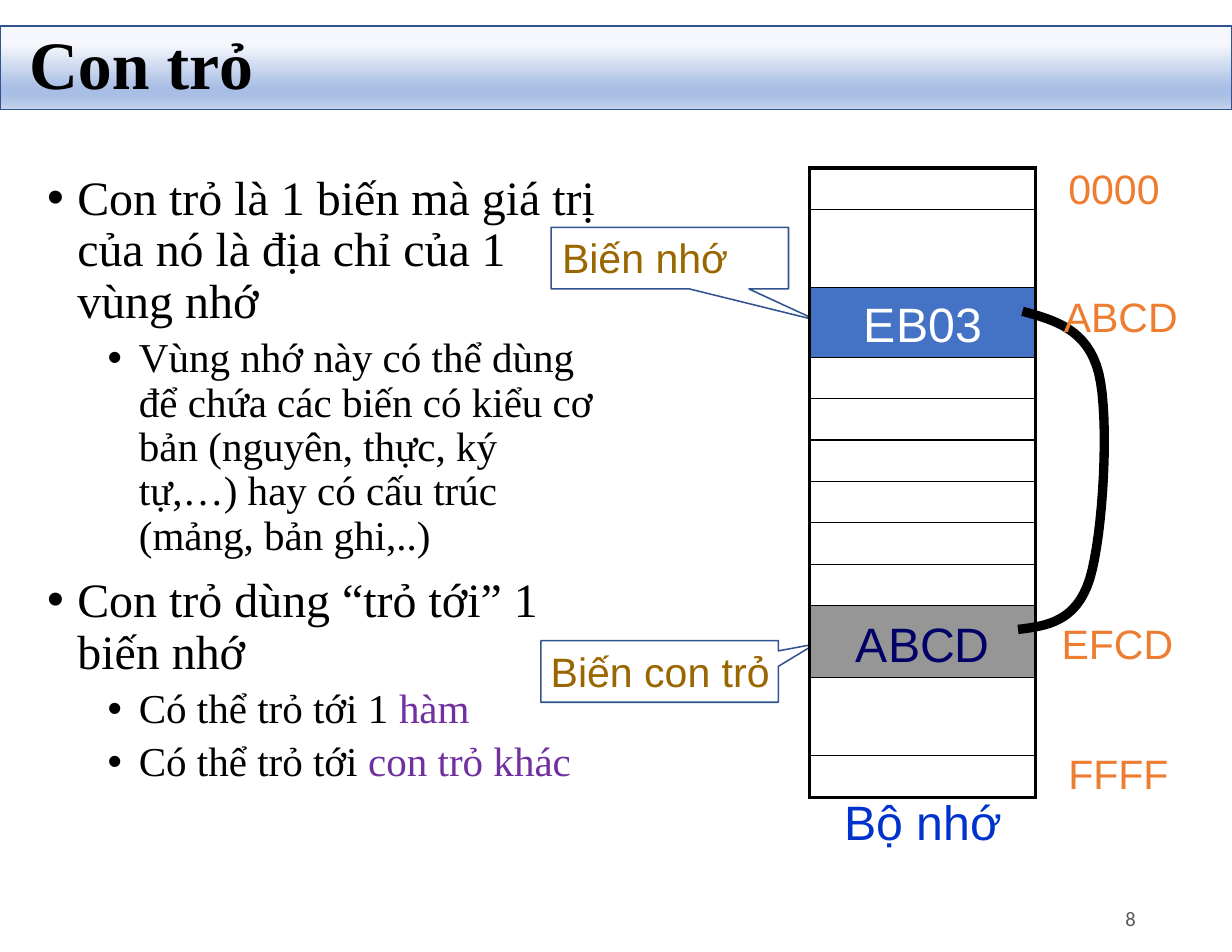
"""Build a slide on pointers with a memory diagram."""
from lxml.etree import SubElement as Sub
from pptx import Presentation
from pptx.dml.color import RGBColor as Rgb
from pptx.enum.shapes import MSO_SHAPE as Shape
from pptx.enum.text import MSO_ANCHOR as Anchor, MSO_AUTO_SIZE as Fit, PP_ALIGN as Align
from pptx.oxml.ns import qn
from pptx.util import Inches, Pt

HUE = {
    "black": "000000", "white": "FFFFFF", "edge": "31538F", "blue": "4472C4",
    "gray": "969696", "navy": "000066", "royal": "0033CC", "orange": "ED7D31",
    "brown": "996600", "purple": "7030A0", "dim": "595959",
    "pale": "F5F7FC", "mid": "A9BEE4", "soft": "C5D3ED",
}
SERIF, SANS = "Times New Roman", "Arial"
STOPS = [(0, "pale"), (22, "pale"), (74, "mid"), (83, "mid"), (100, "soft")]
BODY = [
    (0, 0, ["Con trỏ là 1 biến mà giá trị của nó là địa chỉ của 1 vùng nhớ"]),
    (1, 5.5, ["Vùng nhớ này có thể dùng để chứa các biến có kiểu cơ bản "
              "(nguyên, thực, ký tự,…) hay có cấu trúc (mảng, bản ghi,..)"]),
    (0, 11, ["Con trỏ dùng “trỏ tới” 1 biến nhớ"]),
    (1, 5.5, ["Có thể trỏ tới 1 ", "hàm"]),
    (1, 5.5, ["Có thể trỏ tới ", "con trỏ khác"]),
]
LEVELS = [(30.8, 0.27, -0.27), (26.4, 0.82, -0.28)]
ROWS = [0.37, 0.7, 0.62] + [0.37] * 6 + [0.64, 0.7, 0.37, 0.51]
CELLS = {
    2: ("EB03", "white", "blue", 1.2),
    9: ("ABCD", "navy", "gray", 1.25),
    12: ("Bộ nhớ", "royal", None, 1),
}
CALLS = [
    (4.92, 2.03, (0.62, 1.011)),
    (4.83, 5.72, (0.655, -0.445)),
]
LABELS = [
    ("ABCD", 9.4, 2.55, 1.47, "orange", Align.LEFT),
    ("Biến nhớ", 4.89, 2.03, 1.74, "brown", Align.CENTER),
    ("Biến con trỏ", 4.75, 5.72, 2.29, "brown", Align.CENTER),
    ("EFCD", 9.38, 5.47, 1.47, "orange", Align.LEFT),
    ("FFFF", 9.44, 6.63, 1.28, "orange", Align.LEFT),
    ("0000", 9.44, 1.41, 1.28, "orange", Align.LEFT),
]
CURVE = [
    [(9.09, 5.62), (9.35, 5.59), (9.61, 5.55), (9.73, 5.17)],
    [(9.73, 5.17), (9.85, 4.78), (9.91, 3.73), (9.81, 3.33)],
    [(9.81, 3.33), (9.71, 2.94), (9.42, 2.86), (9.13, 2.78)],
]


def color(name):
    return Rgb.from_string(HUE[name])


def style(font, size, face, hue, bold=False):
    font.size, font.name, font.bold = Pt(size), face, bold
    font.color.rgb = color(hue)


def place(shape, x, y, w, h):
    shape.left, shape.top, shape.width, shape.height = map(Inches, (x, y, w, h))


def add_box(slide, kind, x, y, w, h):
    box = slide.shapes.add_shape(kind, *map(Inches, (x, y, w, h)))
    box.shadow.inherit = False
    box.fill.solid()
    box.fill.fore_color.rgb = color("white")
    box.line.color.rgb = color("edge")
    box.line.width = Pt(1)
    return box


def add_call(slide, x, y, tip):
    call = add_box(slide, Shape.RECTANGULAR_CALLOUT, x, y, 2.12, 0.55)
    call.adjustments[0], call.adjustments[1] = tip
    return call


def add_bar(slide):
    bar = add_box(slide, Shape.RECTANGLE, 0, 0.23, 11, 0.75)
    bar.fill.gradient()
    bar.fill.gradient_angle = 270
    stops = next(bar._element.iter(qn("a:gsLst")))
    for stop in list(stops):
        stops.remove(stop)
    for pos, name in STOPS:
        stop = Sub(stops, qn("a:gs"), pos=str(pos * 1000))
        Sub(stop, qn("a:srgbClr"), val=HUE[name])
    return bar


def add_title(slide):
    title = slide.shapes.title
    place(title, 0.16, 0.3, 11, 0.6)
    frame = title.text_frame
    frame.text = "Con trỏ"
    frame.auto_size, frame.vertical_anchor = Fit.NONE, Anchor.MIDDLE
    para = frame.paragraphs[0]
    para.alignment, para.line_spacing = Align.LEFT, 0.9
    style(para.font, 43.6, SERIF, "black", True)


def add_body(slide):
    body = slide.placeholders[1]
    place(body, 0.32, 1.5, 5.16, 6.33)
    frame = body.text_frame
    frame.auto_size, frame.vertical_anchor = Fit.NONE, Anchor.TOP
    for i, (level, gap, parts) in enumerate(BODY):
        para = frame.add_paragraph() if i else frame.paragraphs[0]
        size, left, hang = LEVELS[level]
        para.level, para.line_spacing, para.space_before = level, 0.9, Pt(gap)
        props = para._p.get_or_add_pPr()
        props.set("marL", str(Inches(left)))
        props.set("indent", str(Inches(hang)))
        Sub(props, qn("a:buFont"), typeface=SANS)
        Sub(props, qn("a:buChar"), char="•")
        style(para.font, size, SERIF, "black")
        for j, text in enumerate(parts):
            run = para.add_run()
            run.text = text
            if j:
                run.font.color.rgb = color("purple")


def set_edge(cell, side, width):
    props = cell._tc.get_or_add_tcPr()
    line = Sub(props, qn("a:ln" + side), w=str(Pt(width)))
    if width:
        fill = Sub(line, qn("a:solidFill"))
        Sub(fill, qn("a:srgbClr"), val=HUE["black"])
    else:
        Sub(line, qn("a:noFill"))


def add_table(slide):
    size = map(Inches, (7.23, 1.5, 2.02, sum(ROWS)))
    table = slide.shapes.add_table(len(ROWS), 1, *size).table
    table.first_row = table.horz_banding = False
    last = len(ROWS) - 1
    for i, high in enumerate(ROWS):
        table.rows[i].height = Inches(high)
        cell = table.cell(i, 0)
        cell.margin_left = cell.margin_right = Inches(0.11)
        cell.margin_top = cell.margin_bottom = 0
        side = 0 if i == last else 2.25
        top = 2.25 if i in (0, last) else 1
        base = {last: 0, last - 1: 2.25}.get(i, 1)
        for name, width in zip("LRTB", (side, side, top, base)):
            set_edge(cell, name, width)
        text, hue, back, space = CELLS.get(i, ("", "black", None, 1))
        if back:
            cell.fill.solid()
            cell.fill.fore_color.rgb = color(back)
        else:
            cell.fill.background()
        cell.text = text
        para = cell.text_frame.paragraphs[0]
        para.alignment, para.line_spacing = Align.CENTER, space
        style(para.font, 31 if text else 12, SANS, hue)


def bend(points, t):
    """Return the point at t on a cubic curve."""
    parts = ((1 - t) ** 3, 3 * t * (1 - t) ** 2, 3 * t * t * (1 - t), t ** 3)
    return tuple(Inches(sum(k * p[axis] for k, p in zip(parts, points)))
                 for axis in (0, 1))


def add_curve(slide):
    dots = [bend(part, n / 16) for part in CURVE for n in range(1, 17)]
    path = slide.shapes.build_freeform(*map(Inches, CURVE[0][0]))
    path.add_line_segments(dots, close=False)
    curve = path.convert_to_shape()
    curve.shadow.inherit = False
    curve.fill.background()
    curve.line.color.rgb = color("black")
    curve.line.width = Pt(6)


def add_label(slide, text, x, y, w, hue, align, h=0.55, size=26.4, face=SANS):
    label = slide.shapes.add_textbox(*map(Inches, (x, y, w, h)))
    frame = label.text_frame
    frame.word_wrap, frame.text = True, text
    frame.auto_size = Fit.SHAPE_TO_FIT_TEXT
    para = frame.paragraphs[0]
    para.alignment = align
    style(para.font, size, face, hue)
    return label


def main():
    deck = Presentation()
    deck.slide_width, deck.slide_height = Inches(11), Inches(8.5)
    slide = deck.slides.add_slide(deck.slide_layouts[1])
    backs = [add_call(slide, *call) for call in CALLS] + [add_bar(slide)]
    for i, shape in enumerate(backs):
        slide.shapes._spTree.insert(2 + i, shape._element)
    add_title(slide)
    add_body(slide)
    add_table(slide)
    add_curve(slide)
    for label in LABELS:
        add_label(slide, *label)
    page = add_label(slide, "8", 8.9, 7.97, 1.34, "dim", Align.RIGHT, 0.45, 13.2, "Calibri")
    page.text_frame.auto_size = Fit.NONE
    page.text_frame.vertical_anchor = Anchor.MIDDLE
    deck.save("out.pptx")


if __name__ == "__main__":
    main()
